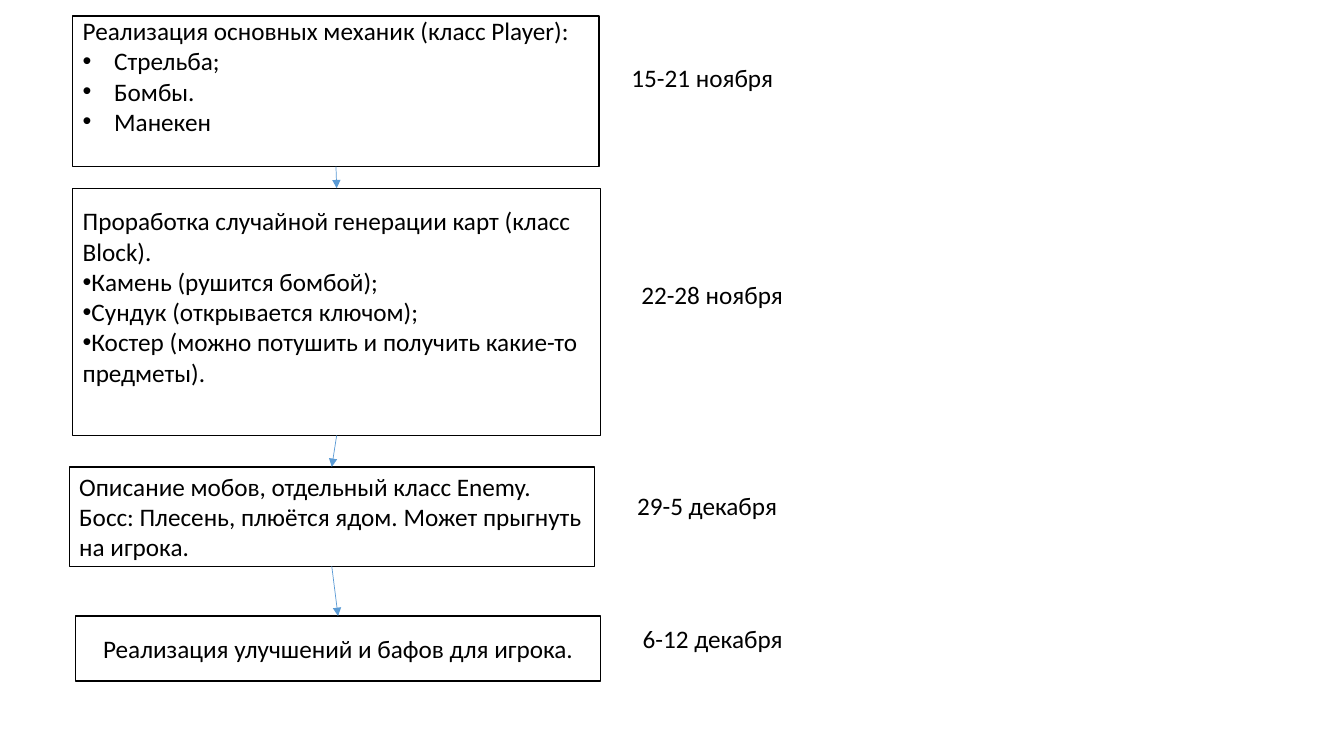
from lxml import etree
from pptx import Presentation
from pptx.dml.color import RGBColor
from pptx.enum.shapes import MSO_CONNECTOR, MSO_SHAPE
from pptx.enum.text import MSO_ANCHOR, MSO_AUTO_SIZE, PP_ALIGN
from pptx.oxml.ns import qn
from pptx.util import Pt

RECTANGLE, STRAIGHT = MSO_SHAPE.RECTANGLE, MSO_CONNECTOR.STRAIGHT
MIDDLE, FIT_SHAPE = MSO_ANCHOR.MIDDLE, MSO_AUTO_SIZE.SHAPE_TO_FIT_TEXT
LEFT, CENTER = PP_ALIGN.LEFT, PP_ALIGN.CENTER

BLACK = RGBColor(0x00, 0x00, 0x00)
WHITE = RGBColor(0xFF, 0xFF, 0xFF)
BLUE = RGBColor(0x5B, 0x9B, 0xD5)

TOP_SITE, BOTTOM_SITE = 0, 2
INSET, LINE_HEIGHT = 3.6, 22
BULLET = "•"

# Each stage: box (left, top, width, height), plain lines, bulleted lines,
# bullet indent, alignment, free lines below the text, date, date (left, top).
STAGES = [
    ((52, 11.5, 376, 107.5),
     ["Реализация основных механик (класс Player):"],
     ["Стрельба;", "Бомбы.", "Манекен"],
     22.5, LEFT, 1, "15-21 ноября", (444, 41)),
    ((52, 134.5, 377, 176.5),
     ["Проработка случайной генерации карт (класс Block). "],
     ["Камень (рушится бомбой);", "Сундук (открывается ключом);",
      "Костер (можно потушить и получить какие-то предметы)."],
     0, LEFT, 1, "22-28 ноября", (451, 196)),
    ((49.5, 333.5, 375, 71),
     ["Описание мобов, отдельный класс Enemy.",
      "Босс: Плесень, плюётся ядом. Может прыгнуть на игрока."],
     [], 0, LEFT, 0, "29-5 декабря", (448, 347)),
    ((54, 440, 375, 46.5),
     ["Реализация улучшений и бафов для игрока."],
     [], 0, CENTER, 0, "6-12 декабря", (452, 441.5)),
]


class PlanSlide:
    """Holds the style and the current slide of the work plan."""

    font_name, font_size = "Calibri", 18

    def __init__(self, page):
        """Keep the slide to draw on."""
        self.page = page

    def fill_text(self, frame, lines, align=LEFT):
        """Set one styled paragraph per line and return the paragraphs."""
        frame.word_wrap = True
        frame.text = "\n".join(lines)
        for para in frame.paragraphs:
            para.alignment = align
            para.font.name = self.font_name
            para.font.size = Pt(self.font_size)
            para.font.color.rgb = BLACK
        return frame.paragraphs

    def add_bullet(self, para, indent):
        """Put a bullet with a hanging indent on a paragraph."""
        properties = para._p.get_or_add_pPr()
        properties.set("marL", str(Pt(indent)))
        properties.set("indent", str(-Pt(indent)))
        font = etree.Element(qn("a:buFont"), typeface="Arial")
        mark = etree.Element(qn("a:buChar"), char=BULLET)
        # The schema wants bullet elements before the default run properties.
        properties.insert(0, font)
        properties.insert(1, mark)

    def add_box(self, bounds, lines, bullets, indent, align, free_lines):
        """Add an outlined box with plain lines followed by bullets."""
        box = self.page.shapes.add_shape(RECTANGLE, *map(Pt, bounds))
        box.shadow.inherit = False
        box.fill.solid()
        box.fill.fore_color.rgb = WHITE
        box.line.color.rgb = BLACK
        box.line.width = Pt(1)
        frame = box.text_frame
        frame.vertical_anchor = MIDDLE
        frame.margin_bottom = Pt(INSET + free_lines * LINE_HEIGHT)
        paragraphs = self.fill_text(frame, lines + bullets, align)
        for para in paragraphs[len(lines):]:
            self.add_bullet(para, indent)
        return box

    def add_date(self, text, left, top):
        """Add the date of a stage beside its box."""
        label = self.page.shapes.add_textbox(Pt(left), Pt(top), Pt(194.5), Pt(29))
        self.fill_text(label.text_frame, [text])
        label.text_frame.auto_size = FIT_SHAPE

    def add_arrow(self, upper, lower):
        """Link two boxes with an arrow from bottom to top."""
        arrow = self.page.shapes.add_connector(STRAIGHT, 0, 0, 0, 0)
        arrow.begin_connect(upper, BOTTOM_SITE)
        arrow.end_connect(lower, TOP_SITE)
        arrow.line.color.rgb = BLUE
        arrow.line.width = Pt(0.5)
        etree.SubElement(arrow.line._get_or_add_ln(), qn("a:tailEnd"), type="triangle")
        etree.SubElement(arrow._element.spPr, qn("a:effectLst"))


def main():
    """Build the work plan and save it."""
    deck = Presentation()
    deck.slide_width, deck.slide_height = Pt(960), Pt(540)
    plan = PlanSlide(deck.slides.add_slide(deck.slide_layouts[6]))
    boxes = []
    for *box_details, date, date_place in STAGES:
        boxes.append(plan.add_box(*box_details))
        plan.add_date(date, *date_place)
    for upper, lower in zip(boxes, boxes[1:]):
        plan.add_arrow(upper, lower)
    deck.save("out.pptx")


main()
